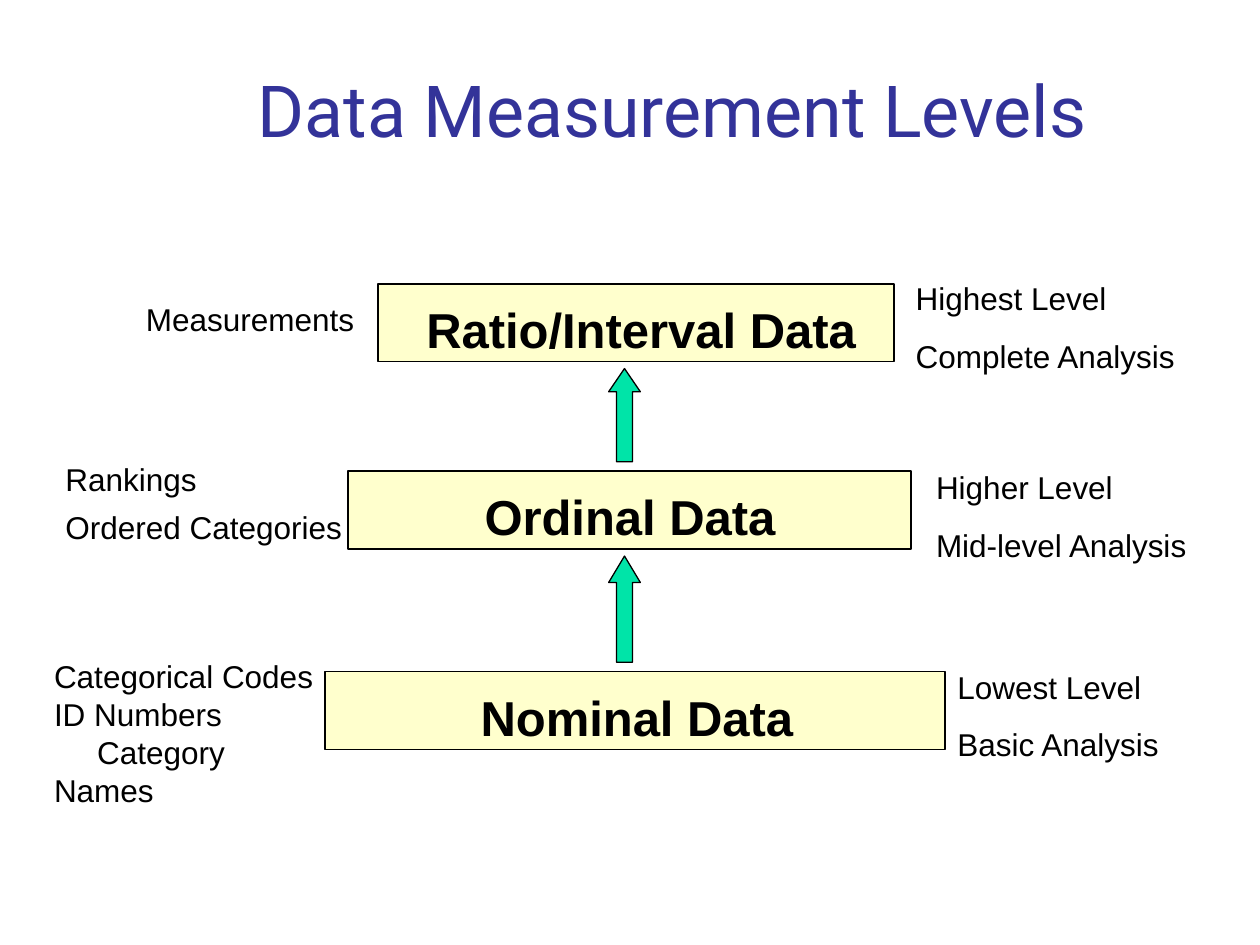
from pptx import Presentation
from pptx.dml.color import RGBColor
from pptx.enum.shapes import MSO_SHAPE
from pptx.enum.text import MSO_ANCHOR, PP_ALIGN
from pptx.util import Cm, Pt

RECT, UP_ARROW = MSO_SHAPE.RECTANGLE, MSO_SHAPE.UP_ARROW
TOP, BOTTOM = MSO_ANCHOR.TOP, MSO_ANCHOR.BOTTOM
LEFT, CENTER, RIGHT = PP_ALIGN.LEFT, PP_ALIGN.CENTER, PP_ALIGN.RIGHT

# Content: levels from highest to lowest; boxes are (left, top, width, height) in cm
TITLE = "Data Measurement Levels"
LEVELS = [
    {"name": "Ratio/Interval Data", "left": 7.62, "top": 5.72, "width": 10.41,
     "label": (8.05, 9.75),
     "examples": ["Measurements"], "examples_box": (1.47, 5.92, 5.92, 1.02),
     "examples_format": {"alignment": RIGHT},
     "analysis": ["Highest Level", "Complete Analysis"], "analysis_at": (18.21, 5.51)},
    {"name": "Ordinal Data", "left": 7.01, "top": 9.5, "width": 11.35,
     "label": (7.34, 10.72),
     "examples": ["Rankings", "Ordered Categories"], "examples_box": (1.07, 9.32, 6.35, 1.8),
     "examples_format": {"line_spacing": 0.75, "space_before": Pt(11.2)},
     "analysis": ["Higher Level", "Mid-level Analysis"], "analysis_at": (18.62, 9.32)},
    {"name": "Nominal Data", "left": 6.55, "top": 13.54, "width": 12.5,
     "label": (6.53, 12.62),
     "examples": ["Categorical Codes", "ID Numbers", "Category", "Names"],
     "examples_box": (0.84, 13.13, 5.92, 3.3), "examples_format": {},
     "analysis": ["Lowest Level", "Basic Analysis"], "analysis_at": (19.05, 13.34)},
]
INDENTS = {"Category": 0.87}

# Theme and shared measures
THEME = {
    "title": {"name": "Roboto", "size": Pt(41), "bold": False, "color": "333399"},
    "label": {"name": "Arial", "size": Pt(28), "bold": True, "color": "000000"},
    "note": {"name": "Arial", "size": Pt(18), "bold": False, "color": "000000"},
    "box": "FFFFCD", "arrow": "00E4A8", "line": "000000",
}
BOX_H, LABEL_DROP, LABEL_H = 1.57, 0.19, 1.45
ANALYSIS_SIZE = (5.92, 2.18)
ARROW_X, ARROW_W, GAP_ABOVE, GAP_BELOW = 12.27, 0.64, 0.14, 0.19


def write(tf, lines, style, anchor=TOP, **paragraph_format):
    tf.word_wrap = True
    tf.vertical_anchor = anchor
    for i, line in enumerate(lines):
        p = tf.add_paragraph() if i else tf.paragraphs[0]
        for key, value in paragraph_format.items():
            setattr(p, key, value)
        if line in INDENTS:
            p._p.get_or_add_pPr().set("marL", str(Cm(INDENTS[line])))
        r = p.add_run()
        r.text = line
        for key, value in THEME[style].items():
            if key == "color":
                r.font.color.rgb = RGBColor.from_string(value)
            else:
                setattr(r.font, key, value)


def add_text(s, box, lines, style, **paragraph_format):
    sp = s.shapes.add_textbox(*map(Cm, box))
    write(sp.text_frame, lines, style, **paragraph_format)


def add_shape(s, kind, box, fill, line_width):
    sp = s.shapes.add_shape(kind, *map(Cm, box))
    sp.shadow.inherit = False
    sp.fill.solid()
    sp.fill.fore_color.rgb = RGBColor.from_string(THEME[fill])
    sp.line.color.rgb = RGBColor.from_string(THEME["line"])
    sp.line.width = Pt(line_width)
    return sp


def main():
    prs = Presentation()
    prs.slide_width, prs.slide_height = Cm(25.4), Cm(19.05)
    s = prs.slides.add_slide(prs.slide_layouts[5])

    # Title
    title = s.shapes.title
    title.left, title.top, title.width, title.height = map(Cm, (2.74, 1.07, 21.64, 2.11))
    write(title.text_frame, [TITLE], "title", anchor=BOTTOM, alignment=CENTER)

    # Level boxes with examples on the left and analysis on the right
    for level in LEVELS:
        add_shape(s, RECT, (level["left"], level["top"], level["width"], BOX_H), "box", 1)
        x, width = level["label"]
        add_text(s, (x, level["top"] + LABEL_DROP, width, LABEL_H), [level["name"]],
                 "label", alignment=CENTER)
        add_text(s, level["examples_box"], level["examples"], "note",
                 **level["examples_format"])
        add_text(s, level["analysis_at"] + ANALYSIS_SIZE, level["analysis"], "note",
                 alignment=LEFT, space_before=Pt(11.2))

    # Arrows rising from each level to the one above; the head is a quarter of the height
    for upper, lower in zip(LEVELS, LEVELS[1:]):
        top = upper["top"] + BOX_H + GAP_ABOVE
        height = lower["top"] - GAP_BELOW - top
        arrow = add_shape(s, UP_ARROW, (ARROW_X, top, ARROW_W, height), "arrow", 0.75)
        arrow.adjustments[0] = 0.5
        arrow.adjustments[1] = height / 4 / ARROW_W

    prs.save("out.pptx")


if __name__ == "__main__":
    main()
